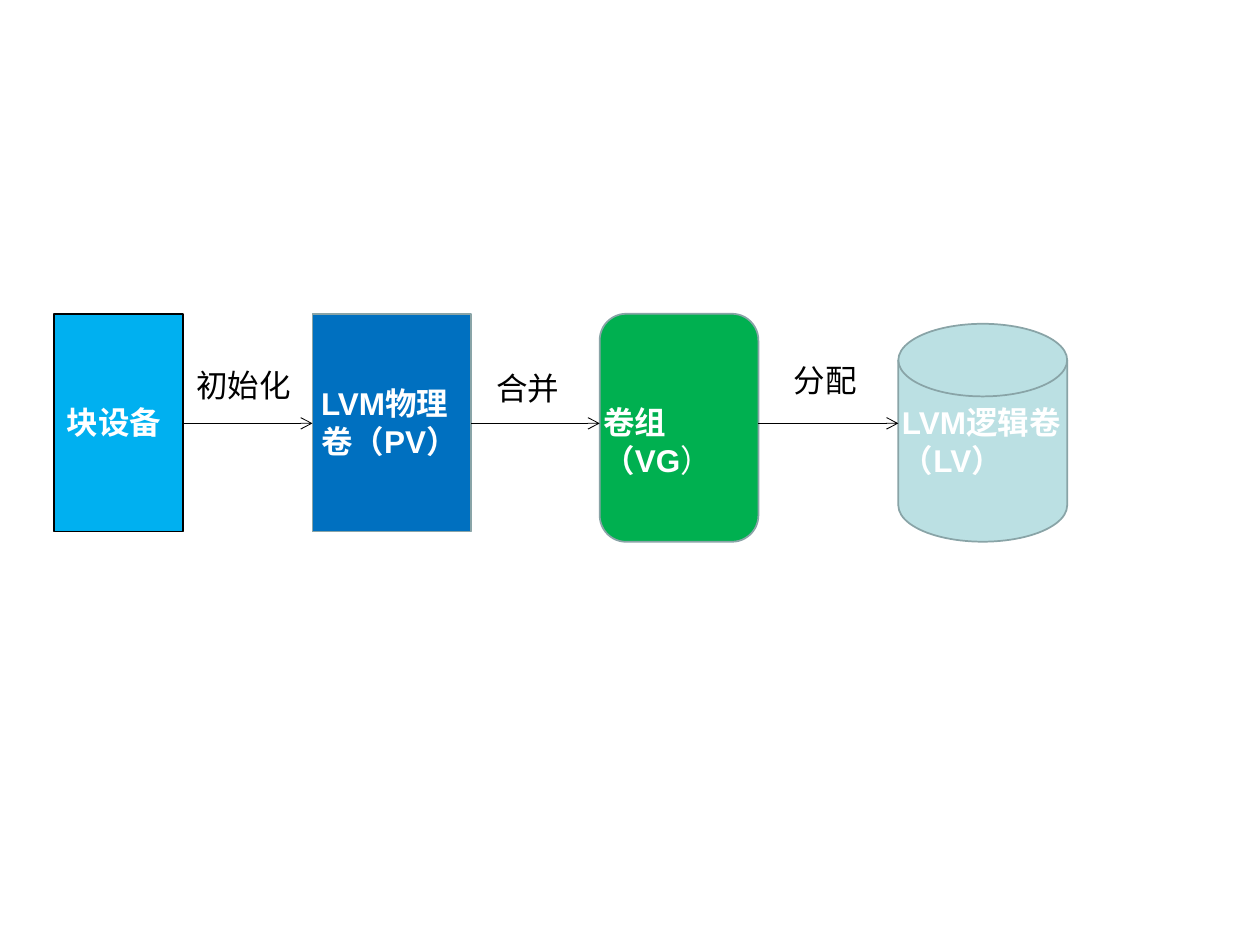
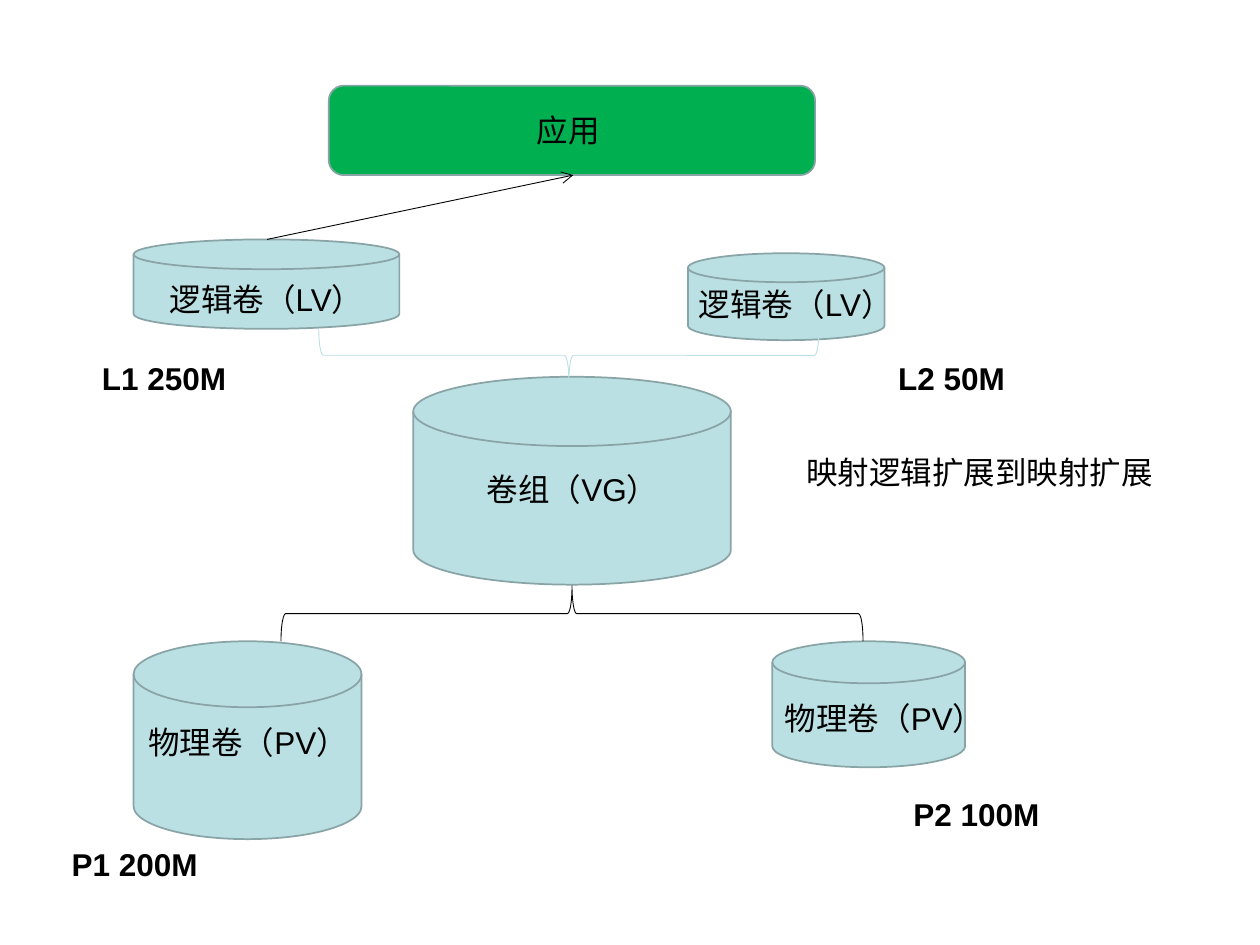
from dataclasses import dataclass
from itertools import pairwise

from pptx import Presentation
from pptx import util as u
from pptx.dml.color import RGBColor
from pptx.enum import shapes, text
from pptx.oxml.ns import qn
from lxml import etree

# Shared scale, colours and type
EMU_PER_PX = 9144  # 100 px to the inch
BLACK, WHITE = "000000", "FFFFFF"
SKY, BLUE, GREEN, TEAL, OUTLINE = "00B0F0", "0070C0", "00B050", "BBE0E3", "89A4A7"
FONT, FONT_SIZE = "Arial", 18
ONE_LINE, TWO_LINES, THREE_LINES = 40, 70, 100

KIND = shapes.MSO_SHAPE
RECTANGLE, ROUNDED, DISK = KIND.RECTANGLE, KIND.ROUNDED_RECTANGLE, KIND.FLOWCHART_MAGNETIC_DISK


@dataclass(frozen=True)
class Block:
    left: int
    top: int
    width: int
    height: int
    kind: shapes.MSO_SHAPE = DISK
    fill: str = TEAL
    line: str = OUTLINE


@dataclass(frozen=True)
class Label:
    runs: tuple[tuple[str, bool], ...]  # wording and boldness
    left: int
    top: int
    width: int
    height: int = ONE_LINE
    color: str = BLACK
    centered: bool = False


@dataclass(frozen=True)
class Brace:
    """A brace lying on its side, given by the area it covers."""
    left: int
    top: int
    width: int
    height: int
    rotation: int  # 90 points down, 270 points up
    color: str


def px(length: float) -> u.Emu:
    return u.Emu(round(length * EMU_PER_PX))


def rgb(color: str) -> RGBColor:
    return RGBColor.from_string(color)


def plain(wording: str) -> tuple[tuple[str, bool], ...]:
    return ((wording, False),)


def bold(wording: str) -> tuple[tuple[str, bool], ...]:
    return ((wording, True),)


def draw_block(slide, block: Block) -> None:
    shape = slide.shapes.add_shape(
        block.kind, px(block.left), px(block.top), px(block.width), px(block.height))
    shape.shadow.inherit = False
    shape.fill.solid()
    shape.fill.fore_color.rgb = rgb(block.fill)
    shape.line.color.rgb = rgb(block.line)
    shape.line.width = u.Pt(1)


def draw_label(slide, label: Label) -> None:
    box = slide.shapes.add_textbox(
        px(label.left), px(label.top), px(label.width), px(label.height))
    frame = box.text_frame
    frame.word_wrap = True
    frame.auto_size = text.MSO_AUTO_SIZE.SHAPE_TO_FIT_TEXT
    paragraph = frame.paragraphs[0]
    paragraph.alignment = text.PP_ALIGN.CENTER if label.centered else text.PP_ALIGN.LEFT
    for wording, is_bold in label.runs:
        run = paragraph.add_run()
        run.text = wording
        run.font.name = FONT
        run.font.size = u.Pt(FONT_SIZE)
        run.font.bold = is_bold
        run.font.color.rgb = rgb(label.color)


def draw_brace(slide, brace: Brace) -> None:
    # The unrotated shape stands upright around the same centre
    center_x = brace.left + brace.width / 2
    center_y = brace.top + brace.height / 2
    shape = slide.shapes.add_shape(
        KIND.RIGHT_BRACE, px(center_x - brace.height / 2), px(center_y - brace.width / 2),
        px(brace.height), px(brace.width))
    shape.rotation = brace.rotation
    shape.shadow.inherit = False
    shape.fill.background()
    shape.line.color.rgb = rgb(brace.color)
    shape.line.width = u.Pt(0.5)


def draw_arrow(slide, start: tuple[int, int], end: tuple[int, int]) -> None:
    arrow = slide.shapes.add_connector(
        shapes.MSO_CONNECTOR.STRAIGHT, *map(px, start), *map(px, end))
    arrow.line.color.rgb = rgb(BLACK)
    arrow.line.width = u.Pt(0.5)
    etree.SubElement(arrow.line._get_or_add_ln(), qn("a:tailEnd"), type="arrow")
    etree.SubElement(arrow._element.spPr, qn("a:effectLst"))


# Slide 1: from block device to logical volume
ARROW_Y = 336
STAGES = [
    Block(43, 249, 102, 173, RECTANGLE, SKY, BLACK),
    Block(248, 249, 126, 173, RECTANGLE, BLUE),
    Block(476, 249, 126, 181, ROUNDED, GREEN),
    Block(713, 257, 134, 173),
]
STAGE_LABELS = [
    Label(bold("块设备"), 43, 315, 103, color=WHITE),
    Label(bold("LVM物理卷（PV）"), 245, 300, 129, THREE_LINES, WHITE),
    Label((("卷组（VG", True), ("）", False)), 469, 315, 133, TWO_LINES, WHITE),
    Label(bold("LVM逻辑卷（LV）"), 706, 315, 148, TWO_LINES, WHITE),
]
STEP_LABELS = [
    Label(plain("初始化"), 146, 286, 118),
    Label(plain("合并"), 384, 288, 92),
    Label(plain("分配"), 620, 282, 85),
]

# Slide 2: physical volumes, volume group, logical volumes, application
VOLUMES = [
    Block(106, 509, 181, 157),
    Block(613, 509, 153, 100),
    Block(328, 299, 252, 165),
    Block(106, 190, 211, 71),
    Block(546, 201, 156, 69),
    Block(261, 68, 386, 71, ROUNDED, GREEN),
]
BRACES = [
    Brace(223, 465, 462, 44, 270, BLACK),
    Brace(253, 261, 397, 42, 90, TEAL),
]
VOLUME_LABELS = [
    Label(plain("物理卷（PV）"), 108, 569, 179, TWO_LINES),
    Label(plain("物理卷（PV）"), 613, 550, 179, TWO_LINES),
    Label(plain("卷组（VG）"), 338, 368, 233, centered=True),
    Label(plain("逻辑卷（LV）"), 77, 217, 269, centered=True),
    Label(plain("逻辑卷（LV）"), 497, 221, 269, centered=True),
    Label(plain("应用"), 338, 83, 226, centered=True),
    Label(plain("映射逻辑扩展到映射扩展"), 630, 355, 318),
]
SIZE_LABELS = [
    Label(bold(wording), left, top, 161)
    for wording, left, top in (
        ("L1 250M", 71, 280), ("L2 50M", 703, 280),
        ("P2 100M", 715, 626), ("P1 200M", 47, 666))
]


def build_stages(slide) -> None:
    for stage in STAGES:
        draw_block(slide, stage)
    for stage, following in pairwise(STAGES):
        draw_arrow(slide, (stage.left + stage.width, ARROW_Y), (following.left, ARROW_Y))
    for label in STAGE_LABELS + STEP_LABELS:
        draw_label(slide, label)


def build_volumes(slide) -> None:
    for volume in VOLUMES:
        draw_block(slide, volume)
    for brace in BRACES:
        draw_brace(slide, brace)
    for label in VOLUME_LABELS + SIZE_LABELS:
        draw_label(slide, label)
    draw_arrow(slide, (212, 190), (455, 139))


def main() -> None:
    presentation = Presentation()
    presentation.slide_width, presentation.slide_height = px(1000), px(750)
    blank_layout = presentation.slide_layouts[6]
    for build in (build_stages, build_volumes):
        build(presentation.slides.add_slide(blank_layout))
    presentation.save("out.pptx")


if __name__ == "__main__":
    main()
